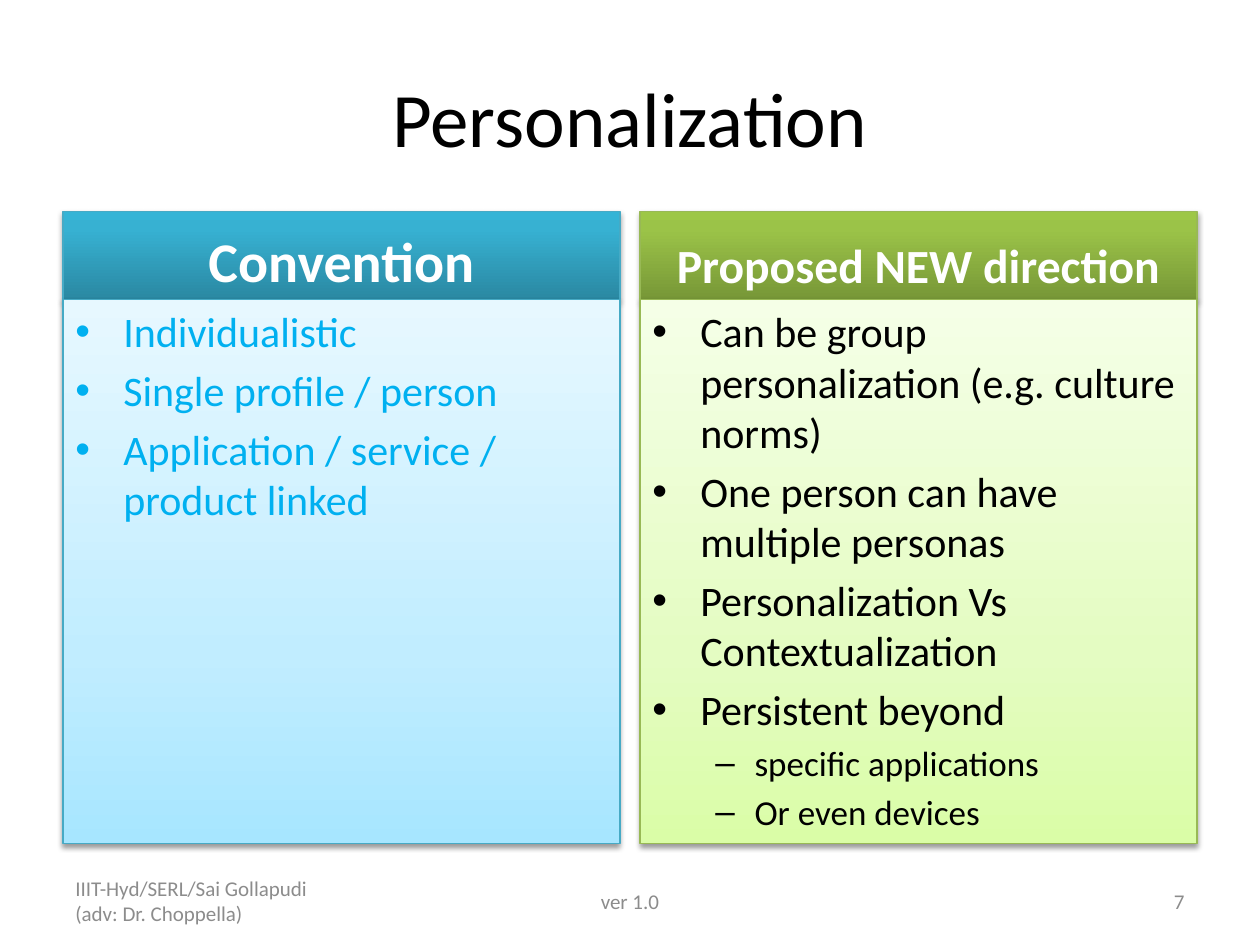
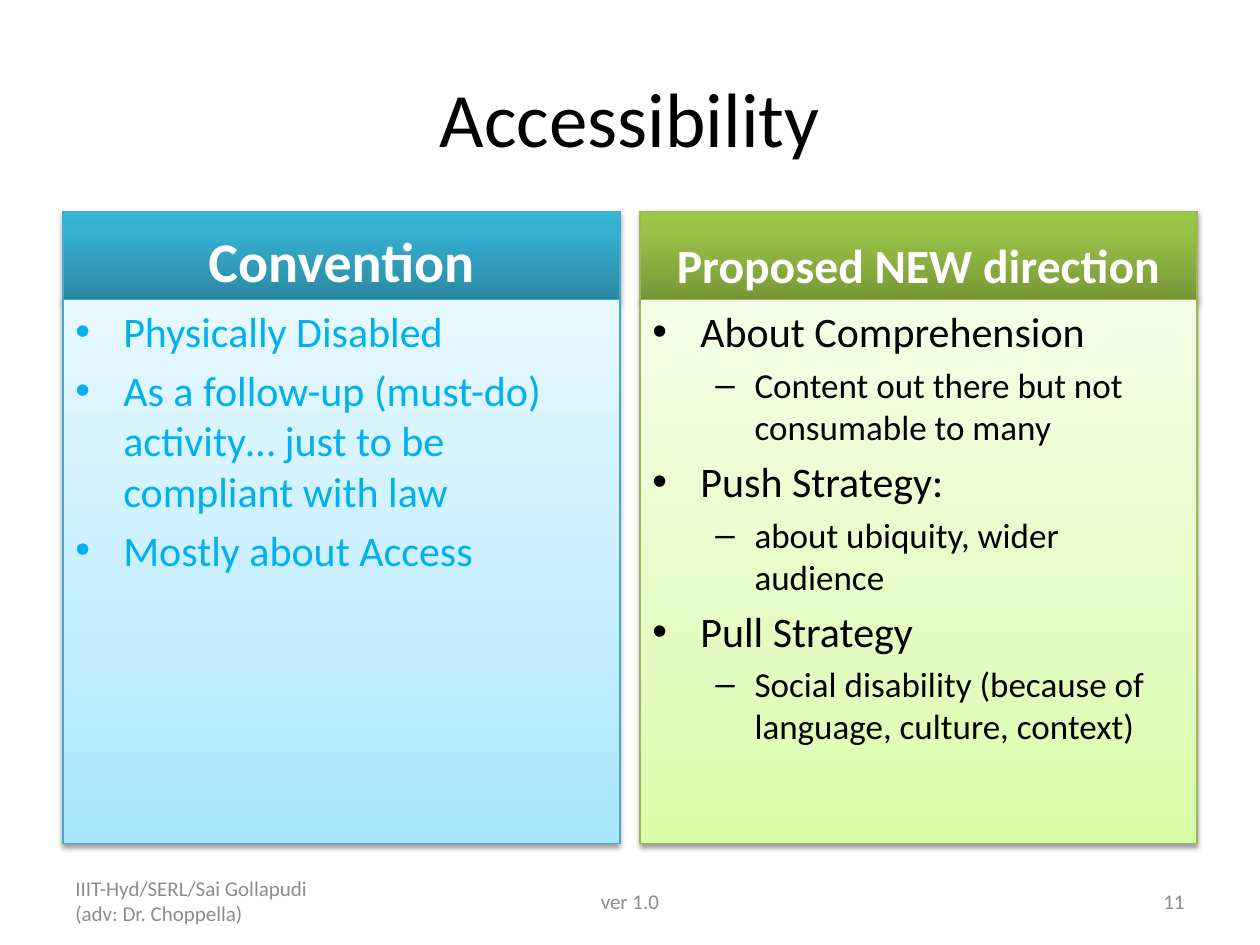
from copy import deepcopy

from lxml.etree import SubElement
from pptx import Presentation as Deck
from pptx.dml.color import RGBColor as Color
from pptx.enum.shapes import MSO_SHAPE as Shape
from pptx.enum.text import MSO_ANCHOR as Anchor, PP_ALIGN as Align
from pptx.oxml.ns import qn
from pptx.util import Inches, Pt

WIDE, HIGH = 10, 7.5
FONT = "Calibri"
INK, GREY, WHITE, SKY = "000000", "8C8C8C", "FFFFFF", "00B0F0"
EDGE = 0.05                     # side margin, as a share of the width
COL = 0.442                     # width of a column
HEAD_TOP, BODY_TOP, BODY_END = 0.224, 0.317, 0.893
FOOT_TOP, FOOT_H, FOOT_W = 0.927, 0.053, 0.233
RISE = 0.2                      # space above a line, as a share of its size

# Gradient stops run from the bottom edge to the top edge.
BLUE = {
    "line": "46AAC5", "ink": SKY,
    "head": [(0, "2A88A2"), (0.8, "37B1D2"), (1, "34B4D6")],
    "body": [(0, "A7E6FF"), (0.35, "C1EDFF"), (1, "E7F8FF")],
}
GREEN = {
    "line": "98B955", "ink": INK,
    "head": [(0, "779737"), (0.8, "9BC348"), (1, "9DC746")],
    "body": [(0, "DAFDA7"), (0.35, "E4FCC2"), (1, "F5FFE7")],
}
# Level: text size, left margin, hanging indent, bullet
LEVELS = [(24, 0.38, 0.38, "•"), (20, 0.81, 0.31, "–")]

SLIDES = [
    ("Personalization", 7,
     [(0, "Individualistic"),
      (0, "Single profile / person"),
      (0, "Application / service / product linked")],
     [(0, "Can be group personalization (e.g. culture norms)"),
      (0, "One person can have multiple personas"),
      (0, "Personalization Vs Contextualization"),
      (0, "Persistent beyond"),
      (1, "specific applications"),
      (1, "Or even devices")]),
    ("Accessibility", 11,
     [(0, "Physically Disabled"),
      (0, "As a follow-up (must-do) activity… just to be compliant with law"),
      (0, "Mostly about Access")],
     [(0, "About Comprehension"),
      (1, "Content out there but not consumable to many"),
      (0, "Push Strategy:"),
      (1, "about ubiquity, wider audience"),
      (0, "Pull Strategy"),
      (1, "Social disability (because of language, culture, context)")]),
]


def paint(target, code):
    target.rgb = Color.from_string(code)


def place(x, y, w, h):
    """Turn shares of the slide into lengths."""
    return Inches(x * WIDE), Inches(y * HIGH), Inches(w * WIDE), Inches(h * HIGH)


def write(para, text, size, color=INK, bold=False, align=Align.LEFT, rise=0):
    run = para.add_run()
    run.text = text
    run.font.name, run.font.size, run.font.bold = FONT, Pt(size), bold
    paint(run.font.color, color)
    para.alignment = align
    para.space_before = Pt(size * rise)


def bullet(para, level):
    size, left, hang, mark = LEVELS[level]
    para.level = level
    props = para._p.get_or_add_pPr()
    props.set("marL", str(Inches(left)))
    props.set("indent", str(-Inches(hang)))
    SubElement(props, qn("a:buFont"), typeface="Arial")
    SubElement(props, qn("a:buChar"), char=mark)
    return size


def label(slide, spot, text, size, **look):
    frame = slide.shapes.add_textbox(*place(*spot)).text_frame
    frame.word_wrap = True
    frame.vertical_anchor = Anchor.MIDDLE
    write(frame.paragraphs[0], text, size, **look)


def shade(box, stops):
    box.fill.gradient()
    box.fill.gradient_angle = 90
    group = box._element.spPr.find(".//" + qn("a:gsLst"))
    group.append(deepcopy(group[0]))
    for stop, (share, code) in zip(box.fill.gradient_stops, stops):
        stop.position = share
        paint(stop.color, code)


def shadow(box, drop, alpha):
    box.shadow.inherit = False
    effects = box._element.spPr.find(qn("a:effectLst"))
    outer = SubElement(effects, qn("a:outerShdw"), blurRad=str(Pt(3.1)),
                       dist=str(Pt(drop)), dir="5400000", rotWithShape="0")
    tint = SubElement(outer, qn("a:srgbClr"), val=INK)
    SubElement(tint, qn("a:alpha"), val=str(alpha * 1000))


def panel(slide, spot, stops, line, drop, alpha, anchor):
    """Add a shaded box and return its text frame."""
    box = slide.shapes.add_shape(Shape.RECTANGLE, *place(*spot))
    shade(box, stops)
    paint(box.line.color, line)
    box.line.width = Pt(0.75)
    shadow(box, drop, alpha)
    frame = box.text_frame
    frame.word_wrap = True
    frame.vertical_anchor = anchor
    return frame


def column(slide, x, theme, title, size, items):
    head = panel(slide, (x, HEAD_TOP, COL, BODY_TOP - HEAD_TOP), theme["head"],
                 theme["line"], 1.8, 35, Anchor.BOTTOM)
    write(head.paragraphs[0], title, size, color=WHITE, bold=True,
          align=Align.CENTER, rise=RISE)
    body = panel(slide, (x, BODY_TOP, COL, BODY_END - BODY_TOP), theme["body"],
                 theme["line"], 1.6, 38, Anchor.TOP)
    for i, (level, text) in enumerate(items):
        para = body.add_paragraph() if i else body.paragraphs[0]
        write(para, text, bullet(para, level), color=theme["ink"], rise=RISE)


def footer(slide, number):
    mid = 0.317
    parts = [
        (EDGE, FOOT_W, "IIIT-Hyd/SERL/Sai Gollapudi (adv: Dr. Choppella)", Align.LEFT),
        ((1 - mid) / 2, mid, "ver 1.0", Align.CENTER),
        (1 - EDGE - FOOT_W, FOOT_W, str(number), Align.RIGHT),
    ]
    for x, w, text, align in parts:
        label(slide, (x, FOOT_TOP, w, FOOT_H), text, 12, color=GREY, align=align)


def main():
    deck = Deck()
    deck.slide_width, deck.slide_height = Inches(WIDE), Inches(HIGH)
    for title, number, old, new in SLIDES:
        slide = deck.slides.add_slide(deck.slide_layouts[6])
        label(slide, (EDGE, 0.04, 1 - 2 * EDGE, 0.167), title, 44, align=Align.CENTER)
        column(slide, EDGE, BLUE, "Convention", 32, old)
        column(slide, 1 - EDGE - COL, GREEN, "Proposed NEW direction", 27.2, new)
        footer(slide, number)
    deck.save("out.pptx")


if __name__ == "__main__":
    main()
